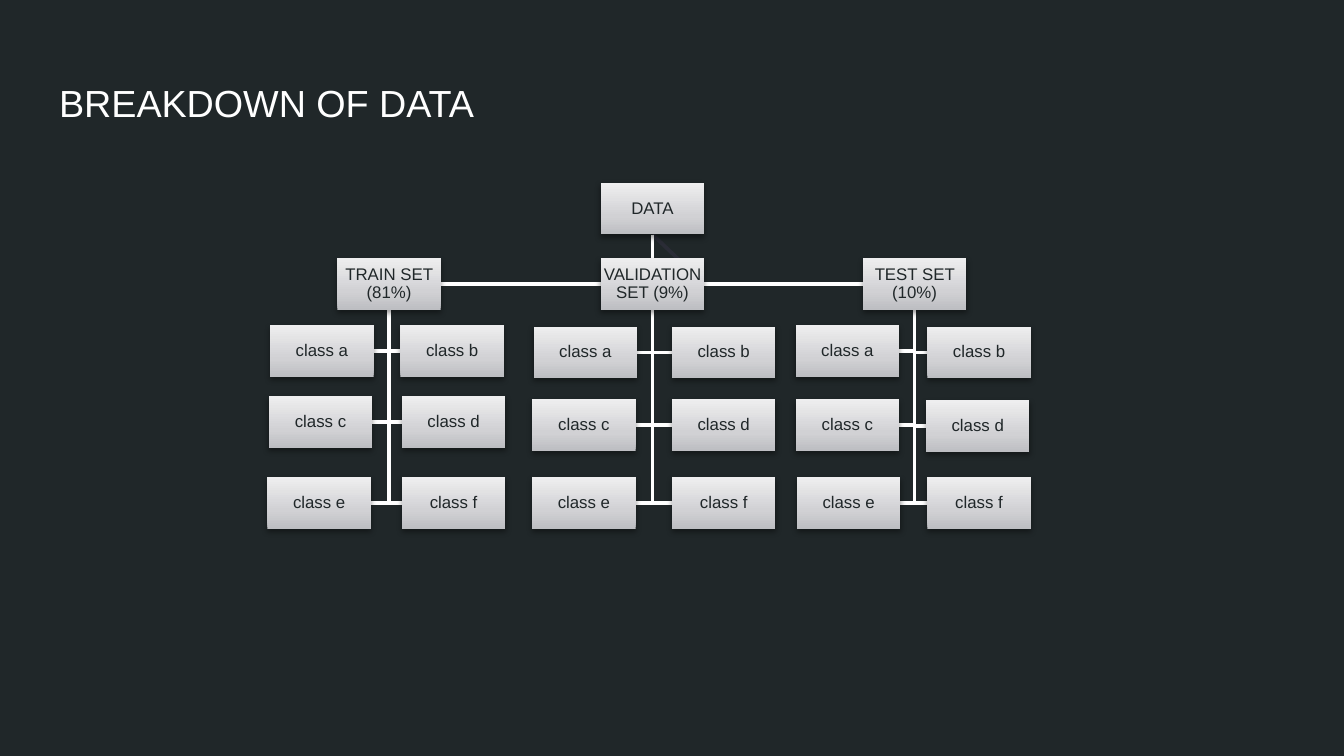
from lxml import etree
from pptx import Presentation
from pptx import util as u
from pptx.dml.color import RGBColor
from pptx.enum import shapes, text
from pptx.oxml import ns

COLORS = {"bg": "202729", "line": "FFFFFF", "faint": "2A2C36", "title": "FFFFFF",
          "label": "202729", "low": "BDBEC2", "mid": "D1D1D4", "high": "EEEEEF",
          "shadow": "000000"}
BOX_W = 0.77
BOX_H = BOX_W / 2
MID_X, MID_Y = BOX_W / 2, BOX_H / 2
ROOT = ("DATA", 4.47, 1.36)
SET_TOP = 1.92
SETS = [
    ("TRAIN SET (81%)", 2.51, [(2.01, 2.42), (2.98, 2.42), (2, 2.95),
                               (2.99, 2.95), (1.99, 3.55), (2.99, 3.55)]),
    ("VALIDATION SET (9%)", 4.47, [(3.97, 2.43), (5, 2.43), (3.96, 2.97),
                                   (5, 2.97), (3.96, 3.55), (5, 3.55)]),
    ("TEST SET (10%)", 6.42, [(5.92, 2.42), (6.9, 2.43), (5.92, 2.97),
                              (6.89, 2.98), (5.93, 3.55), (6.9, 3.55)]),
]


def margins(inches):
    """Return equal text insets for all sides."""
    return {f"margin_{side}": u.Inches(inches)
            for side in ("left", "right", "top", "bottom")}


TITLE_FRAME = {"vertical_anchor": text.MSO_ANCHOR.TOP, "word_wrap": True,
               "auto_size": text.MSO_AUTO_SIZE.NONE, **margins(0.1)}
BOX_FRAME = {"vertical_anchor": text.MSO_ANCHOR.MIDDLE, "word_wrap": True,
             **margins(0.01)}


def rgb(name):
    """Return a palette colour."""
    return RGBColor.from_string(COLORS[name])


def apply(obj, values):
    """Set attributes from a dict."""
    for name, value in values.items():
        setattr(obj, name, value)


def write(tf, words, frame, para, size, color):
    """Put one formatted run into a text frame."""
    apply(tf, frame)
    p = tf.paragraphs[0]
    apply(p, para)
    r = p.add_run()
    r.text = words
    apply(r.font, {"name": "Arial", "size": u.Pt(size), "bold": False})
    r.font.color.rgb = rgb(color)


def add_title(s, words):
    """Fill and place the title placeholder."""
    sp = s.shapes.title
    apply(sp, {"left": u.Inches(0.34), "top": u.Inches(0.49),
               "width": u.Inches(9.32), "height": u.Inches(0.63)})
    write(sp.text_frame, words, TITLE_FRAME,
          {"alignment": text.PP_ALIGN.LEFT}, 20.2, "title")


def add_effects(sp):
    """Give a box its vertical gradient and soft shadow."""
    stops = "".join(f'<a:gs pos="{pos}"><a:srgbClr val="{COLORS[name]}"/></a:gs>'
                    for pos, name in ((0, "low"), (35000, "mid"), (100000, "high")))
    a = ns.nsdecls("a")
    fill = etree.fromstring(f'<a:gradFill {a} rotWithShape="1"><a:gsLst>{stops}</a:gsLst>'
                            '<a:lin ang="16200000" scaled="0"/></a:gradFill>')
    shadow = etree.fromstring(
        f'<a:effectLst {a}><a:outerShdw blurRad="{u.Pt(3.1)}" dist="{u.Pt(1.6)}" '
        f'dir="5400000" rotWithShape="0"><a:srgbClr val="{COLORS["shadow"]}">'
        '<a:alpha val="38000"/></a:srgbClr></a:outerShdw></a:effectLst>')
    pr = sp._element.spPr
    pr.find(ns.qn("a:prstGeom")).addnext(fill)
    pr.append(shadow)


def add_box(group, words, left, top):
    """Add a labelled chart box."""
    sp = group.shapes.add_shape(shapes.MSO_SHAPE.RECTANGLE, u.Inches(left), u.Inches(top),
                                u.Inches(BOX_W), u.Inches(BOX_H))
    sp.line.fill.background()
    add_effects(sp)
    write(sp.text_frame, words, BOX_FRAME,
          {"alignment": text.PP_ALIGN.CENTER, "line_spacing": 0.9}, 9, "label")


def add_path(group, points, color="line"):
    """Add an open line through the points."""
    start, *rest = [(u.Inches(x), u.Inches(y)) for x, y in points]
    builder = group.shapes.build_freeform(*start)
    builder.add_line_segments(rest, close=False)
    sp = builder.convert_to_shape()
    sp.fill.background()
    sp.line.color.rgb = rgb(color)
    sp.line.width = u.Pt(2)
    sp.shadow.inherit = False


def add_elbow(group, parent, target):
    """Go down from a parent box, then across to the target."""
    x = parent[0] + MID_X
    add_path(group, [(x, parent[1] + BOX_H), (x, target[1]), target])


def add_lines(group):
    """Draw the links between all boxes."""
    root = ROOT[1:]
    set_y = SET_TOP + MID_Y
    add_path(group, [(root[0] + MID_X, root[1] + BOX_H), (root[0] + BOX_W, set_y)], "faint")
    add_elbow(group, root, (SETS[0][1] + BOX_W, set_y))
    add_elbow(group, root, (SETS[-1][1], set_y))
    for _, left, places in SETS:
        for x, y in places:
            edge = x + BOX_W if x < left else x
            add_elbow(group, (left, SET_TOP), (edge, y + MID_Y))


def add_boxes(group):
    """Draw the root, the sets and their classes."""
    add_box(group, *ROOT)
    for name, left, places in SETS:
        add_box(group, name, left, SET_TOP)
        for letter, place in zip("abcdef", places):
            add_box(group, f"class {letter}", *place)


def main():
    """Build and save the slide."""
    prs = Presentation()
    apply(prs, {"slide_width": u.Inches(10), "slide_height": u.Inches(10 * 9 / 16)})
    s = prs.slides.add_slide(prs.slide_layouts[5])
    s.background.fill.solid()
    s.background.fill.fore_color.rgb = rgb("bg")
    group = s.shapes.add_group_shape()
    add_lines(group)
    add_boxes(group)
    add_title(s, "BREAKDOWN OF DATA")
    prs.save("out.pptx")


if __name__ == "__main__":
    main()
